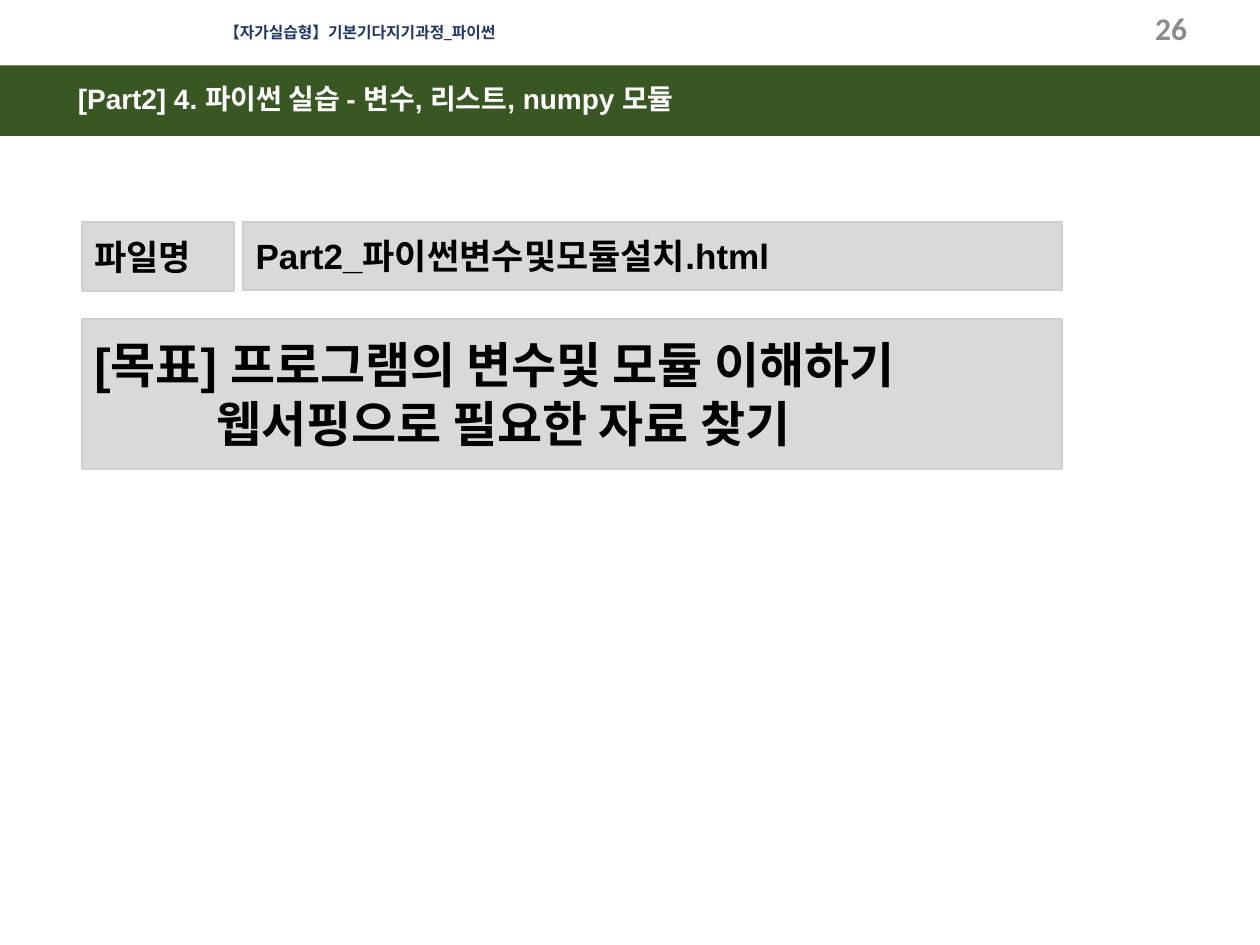
from pptx import Presentation
from pptx.dml.color import RGBColor
from pptx.enum.shapes import MSO_SHAPE
from pptx.enum.text import MSO_ANCHOR, MSO_AUTO_SIZE, PP_ALIGN
from pptx.util import Inches, Pt

RECT = MSO_SHAPE.RECTANGLE
ROUND = MSO_SHAPE.ROUNDED_RECTANGLE
TOP, MIDDLE = MSO_ANCHOR.TOP, MSO_ANCHOR.MIDDLE
LEFT, RIGHT = PP_ALIGN.LEFT, PP_ALIGN.RIGHT
FIT = MSO_AUTO_SIZE.SHAPE_TO_FIT_TEXT

NAVY = RGBColor(0x20, 0x38, 0x64)
GREEN = RGBColor(0x38, 0x57, 0x23)
PANEL = RGBColor(0xD9, 0xD9, 0xD9)
EDGE = RGBColor(0xD0, 0xCE, 0xCE)
GRAY = RGBColor(0x8C, 0x8C, 0x8C)
BLACK = RGBColor(0, 0, 0)
WHITE = RGBColor(0xFF, 0xFF, 0xFF)

MARGIN, EDGE_RIGHT = 0.65, 8.43
FILE_TOP, FILE_LEFT = 1.76, 1.93


def write(frame, text, size, color, font="Arial", align=LEFT):
    frame.text = text
    for para in frame.paragraphs:
        para.alignment = align
        for run in para.runs:
            run.font.size = Pt(size)
            run.font.bold = True
            run.font.name = font
            run.font.color.rgb = color


def add_block(slide, kind, box, fill):
    block = slide.shapes.add_shape(kind, *map(Inches, box))
    block.shadow.inherit = False
    block.fill.solid()
    block.fill.fore_color.rgb = fill
    block.line.fill.background()
    return block


def add_panel(slide, box, text, size):
    """Add a gray square-cornered panel and return its text frame."""
    panel = add_block(slide, ROUND, box, PANEL)
    panel.adjustments[0] = 0
    panel.line.color.rgb = EDGE
    panel.line.width = Pt(1)
    frame = panel.text_frame
    frame.word_wrap = True
    frame.vertical_anchor = MIDDLE
    write(frame, text, size, BLACK)
    return frame


def add_label(slide, box, text, size, color, font="Arial"):
    """Add a one-line text box that grows with its text."""
    frame = slide.shapes.add_textbox(*map(Inches, box)).text_frame
    frame.word_wrap = False
    frame.auto_size = FIT
    frame.vertical_anchor = TOP
    write(frame, text, size, color, font)


def add_number(slide, box, text):
    frame = slide.shapes.add_textbox(*map(Inches, box)).text_frame
    frame.word_wrap = True
    frame.vertical_anchor = MIDDLE
    write(frame, text, 18, GRAY, "Calibri", RIGHT)


def main():
    deck = Presentation()
    deck.slide_width, deck.slide_height = Inches(10), Inches(7.5)
    slide = deck.slides.add_slide(deck.slide_layouts[6])

    add_label(slide, (1.68, 0.13, 2.41, 0.25),
              "【자가실습형】기본기다지기과정_파이썬", 9, NAVY, "Calibri")
    add_number(slide, (7.27, 0.02, 2.25, 0.4), "26")

    add_block(slide, RECT, (0, 0.52, 10, 0.56), GREEN)
    add_label(slide, (0.52, 0.6, 5.36, 0.37),
              "[Part2] 4. 파이썬 실습 - 변수, 리스트, numpy 모듈", 16, WHITE)

    add_panel(slide, (MARGIN, FILE_TOP, 1.21, 0.55), "파일명", 20)
    add_panel(slide, (FILE_LEFT, FILE_TOP, EDGE_RIGHT - FILE_LEFT, 0.54),
              "Part2_파이썬변수및모듈설치.html", 20)
    goal = add_panel(slide, (MARGIN, 2.53, EDGE_RIGHT - MARGIN, 1.19),
                     "[목표] 프로그램의 변수및 모듈 이해하기\n"
                     "웹서핑으로 필요한 자료 찾기", 28)
    indent = goal.paragraphs[1]._p.get_or_add_pPr()
    indent.set("marL", str(Inches(0.97)))

    deck.save("out.pptx")


if __name__ == "__main__":
    main()
